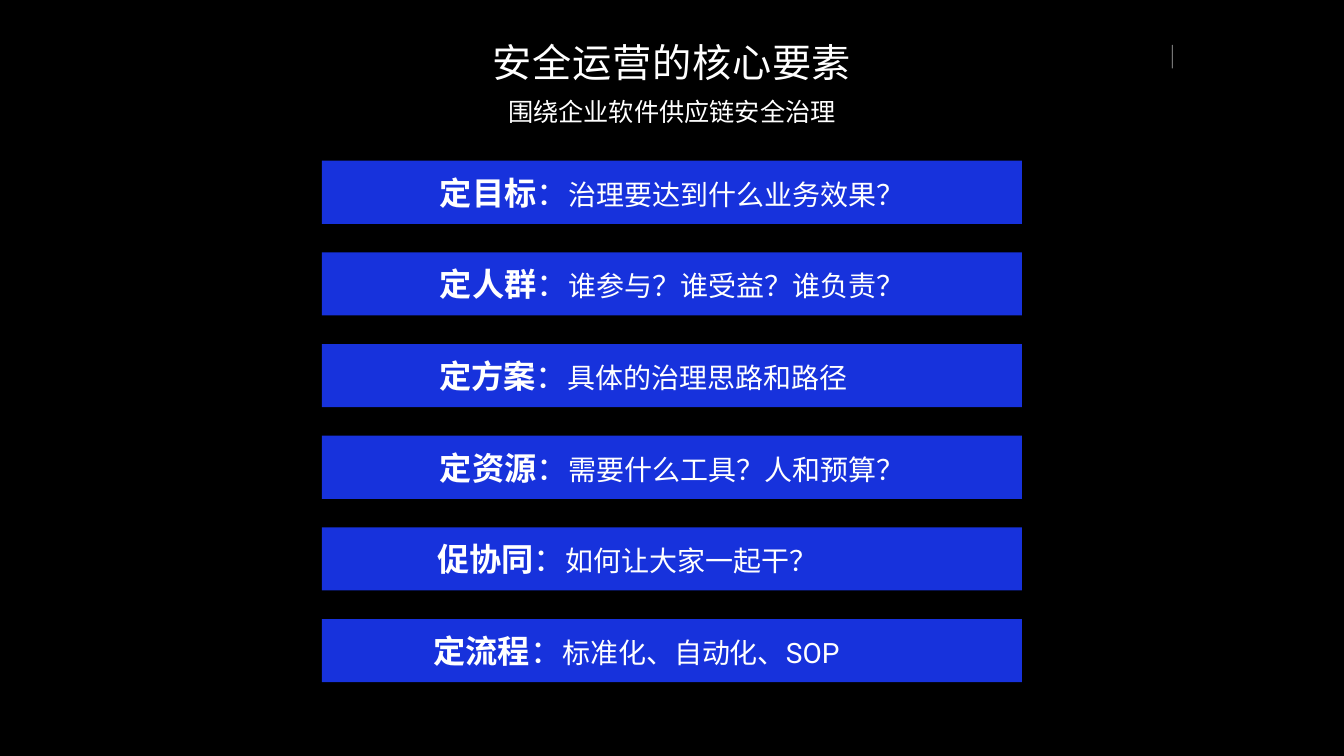
import lxml.etree
import pptx
import pptx.dml.color
import pptx.enum.shapes
import pptx.enum.text
import pptx.oxml.ns
import pptx.util

Cm = pptx.util.Cm
COLORS = {"background": "000000", "bar": "1732DC", "text": "FFFFFF"}
FONT = "Roboto"


def color(name):
    return pptx.dml.color.RGBColor.from_string(COLORS[name])


def add_text(slide, left, top, width, height, inset, runs):
    """Add a centred text box; runs holds (text, size, bold) tuples."""
    shape = slide.shapes.add_textbox(Cm(left), Cm(top), Cm(width), Cm(height))
    frame_format = {
        "word_wrap": True,
        "vertical_anchor": pptx.enum.text.MSO_ANCHOR.MIDDLE,
        "margin_left": Cm(inset),
        "margin_right": Cm(inset),
        "margin_top": Cm(inset),
        "margin_bottom": Cm(inset),
    }
    for name, value in frame_format.items():
        setattr(shape.text_frame, name, value)
    paragraph = shape.text_frame.paragraphs[0]
    paragraph.alignment = pptx.enum.text.PP_ALIGN.CENTER
    for text, size, bold in runs:
        run = paragraph.add_run()
        run.text = text
        font_format = {"name": FONT, "size": pptx.util.Pt(size), "bold": bold}
        for name, value in font_format.items():
            setattr(run.font, name, value)
        run.font.color.rgb = color("text")
    return shape


presentation = pptx.Presentation()
presentation.slide_width = Cm(67.74)
presentation.slide_height = Cm(38.1)
slide = presentation.slides.add_slide(presentation.slide_layouts[6])
slide.background.fill.solid()
slide.background.fill.fore_color.rgb = color("background")

# Thin translucent mark at the top right
mark = slide.shapes.add_connector(
    pptx.enum.shapes.MSO_CONNECTOR.STRAIGHT, Cm(59.08), Cm(3.45), Cm(59.08), Cm(2.26)
)
mark.line.width = pptx.util.Pt(1)
mark.line.color.rgb = color("text")
mark_properties = mark._element.spPr
mark_color = mark_properties.find(".//" + pptx.oxml.ns.qn("a:srgbClr"))
lxml.etree.SubElement(mark_color, pptx.oxml.ns.qn("a:alpha"), val="70000")
lxml.etree.SubElement(mark_properties, pptx.oxml.ns.qn("a:effectLst"))

# Subtitle and title
add_text(slide, 12.7, 4.14, 42.34, 2.95, 0.25, [("围绕企业软件供应链安全治理", 36, False)])
title = add_text(slide, 12.7, 1.83, 42.34, 2.57, 0.08, [("安全运营的核心要素", 56, False)])
title_run = title.text_frame.paragraphs[0].runs[0]
title_run._r.get_or_add_rPr().set("spc", "110")

# Six bars: heading, detail, left and width of the text
BAR_LEFT, BAR_TOP, BAR_WIDTH, BAR_HEIGHT, BAR_PITCH = 16.23, 8.1, 35.28, 3.18, 4.62
TEXT_HEIGHT = 2.49
elements = [
    ("定目标", "治理要达到什么业务效果？", 19.25, 29.24),
    ("定人群", "谁参与？谁受益？谁负责？", 20.65, 26.44),
    ("定方案", "具体的治理思路和路径", 20.8, 23.24),
    ("定资源", "需要什么工具？人和预算？", 21.46, 24.82),
    ("促协同", "如何让大家一起干？", 20.8, 21.64),
    ("定流程", "标准化、自动化、SOP", 20.8, 22.56),
]
for index, (heading, detail, text_left, text_width) in enumerate(elements):
    top = BAR_TOP + index * BAR_PITCH
    bar = slide.shapes.add_shape(
        pptx.enum.shapes.MSO_SHAPE.RECTANGLE,
        Cm(BAR_LEFT), Cm(top), Cm(BAR_WIDTH), Cm(BAR_HEIGHT),
    )
    bar.shadow.inherit = False
    bar.fill.solid()
    bar.fill.fore_color.rgb = color("bar")
    bar.line.fill.background()
    text_top = top + (BAR_HEIGHT - TEXT_HEIGHT) / 2
    runs = [(heading, 46, True), ("：", 46, False), (detail, 40, False)]
    add_text(slide, text_left, text_top, text_width, TEXT_HEIGHT, 0.05, runs)

presentation.save("out.pptx")
